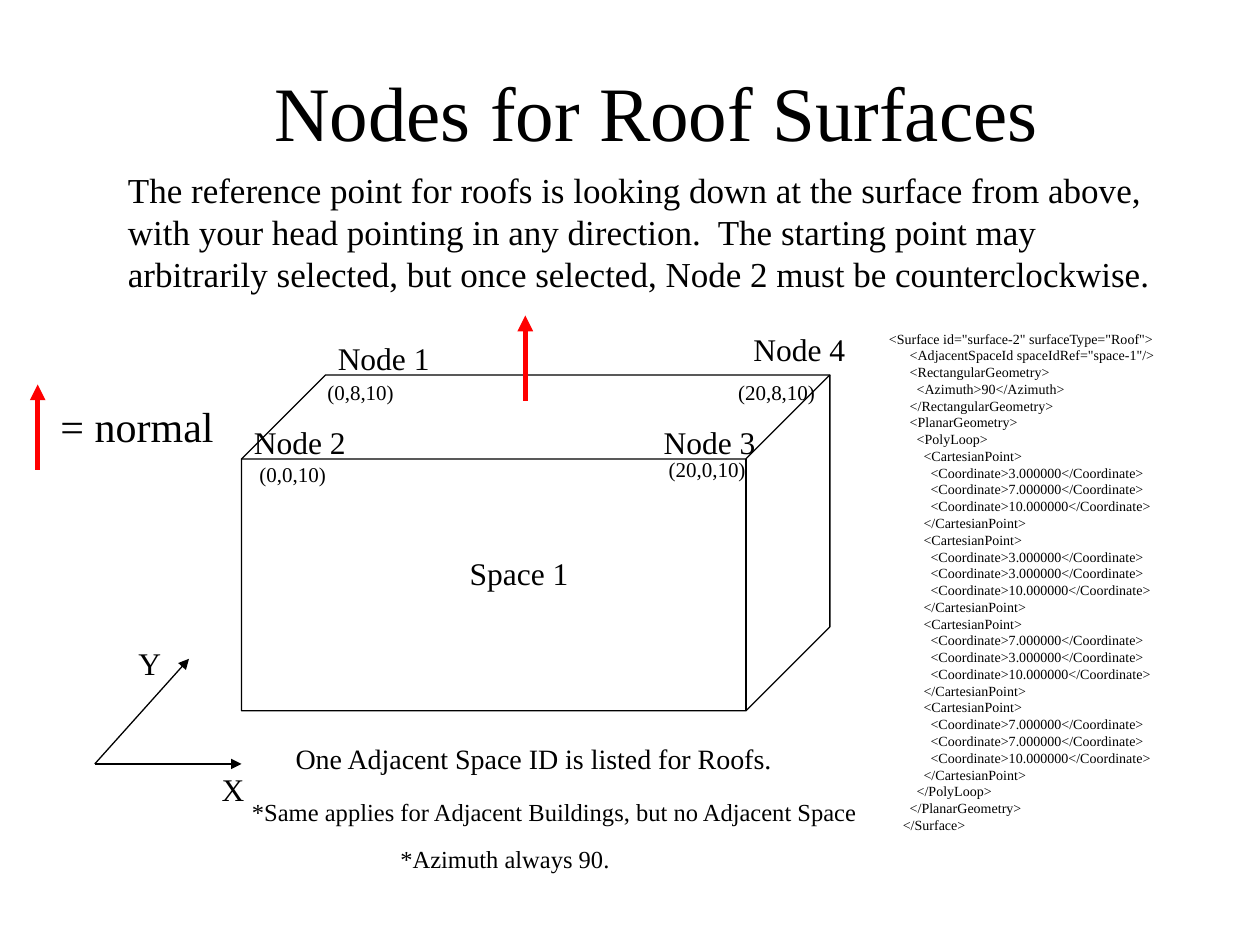
from lxml.etree import SubElement
from pptx import Presentation
from pptx.dml.color import RGBColor
from pptx.enum.shapes import MSO_CONNECTOR, MSO_SHAPE
from pptx.enum.text import MSO_ANCHOR, MSO_AUTO_SIZE, PP_ALIGN
from pptx.oxml.ns import qn
from pptx.util import Cm, Pt

THEME = {
    "font": "Times New Roman",
    "ink": RGBColor(0x00, 0x00, 0x00),
    "normal": RGBColor(0xFF, 0x00, 0x00),
    "title": 44, "legend": 24, "intro": 20, "label": 18,
    "note": 16, "footnote": 14, "coordinate": 12, "code": 8,
    "thin": 0.75, "thick": 3,
}

# Content: wording, left, top, width, height (cm)
TITLE = ("Nodes for Roof Surfaces", 1.9, 0.64, 22.66, 3.18)
INTRO = (
    "The reference point for roofs is looking down at the surface from above, "
    "with your head pointing in any direction.  The starting point may "
    "arbitrarily selected, but once selected, Node 2 must be counterclockwise.",
    2.33, 3.6, 21.38, 2.12)
NOTE = ("One Adjacent Space ID is listed for Roofs.", 5.71, 14.82, 20.11, 0.94)

# Text size role, then wording, left, top, width, height (cm)
LABELS = [
    ("label", "X", 4.22, 15.4, 1.48, 1.02),
    ("label", "Y", 2.54, 12.86, 1.48, 1.02),
    ("label", "Node 1", 6.56, 6.7, 5.29, 1.02),
    ("label", "Node 2", 4.87, 8.41, 5.29, 1.02),
    ("label", "Node 3", 13.13, 8.41, 5.29, 1.02),
    ("label", "Node 4", 14.94, 6.53, 5.29, 1.02),
    ("label", "Space 1", 9.22, 11.05, 3.18, 1.02),
    ("coordinate", "(0,8,10)", 6.35, 7.52, 3.18, 0.76),
    ("coordinate", "(0,0,10)", 4.98, 9.17, 3.18, 0.76),
    ("coordinate", "(20,0,10)", 13.23, 9.07, 3.18, 0.76),
    ("coordinate", "(20,8,10)", 14.63, 7.52, 3.18, 0.76),
    ("legend", "= normal", 0.97, 7.95, 4.02, 1.27),
    ("footnote", "*Same applies for Adjacent Buildings, but no Adjacent Space",
     4.83, 15.95, 13.55, 0.86),
    ("footnote", "*Azimuth always 90.", 7.82, 16.89, 13.55, 0.86),
]

BUILDING = (4.87, 7.56, 11.86, 6.77)
AXIS_ORIGIN = (1.91, 15.4)
AXIS_TIPS = [(3.81, 13.28), (4.87, 15.4)]
NORMAL_TIPS = [(0.76, 7.75), (10.59, 6.36)]
NORMAL_LENGTH = 1.72

# Code listing: indent level and wording
CODE_AREA = (17.67, 6.53, 6.78, 10.39)
CODE_INDENT = 0.14
POINTS = [(3, 7, 10), (3, 3, 10), (7, 3, 10), (7, 7, 10)]
CODE_HEAD = [
    (0, '<Surface id="surface-2" surfaceType="Roof">'),
    (3, '<AdjacentSpaceId spaceIdRef="space-1"/>'),
    (3, "<RectangularGeometry>"),
    (4, "<Azimuth>90</Azimuth>"),
    (3, "</RectangularGeometry>"),
    (3, "<PlanarGeometry>"),
    (4, "<PolyLoop>"),
]
CODE_TAIL = [(4, "</PolyLoop>"), (3, "</PlanarGeometry>"), (2, "</Surface>")]


def code_lines():
    lines = list(CODE_HEAD)
    for point in POINTS:
        lines.append((5, "<CartesianPoint>"))
        lines += [(6, f"<Coordinate>{value:.6f}</Coordinate>") for value in point]
        lines.append((5, "</CartesianPoint>"))
    return lines + CODE_TAIL


def add_text(page, role, text, left, top, width, height,
             anchor=MSO_ANCHOR.TOP, align=PP_ALIGN.LEFT, grow=True):
    box = page.shapes.add_textbox(Cm(left), Cm(top), Cm(width), Cm(height))
    frame = box.text_frame
    frame.word_wrap = True
    frame.auto_size = MSO_AUTO_SIZE.SHAPE_TO_FIT_TEXT if grow else MSO_AUTO_SIZE.NONE
    frame.vertical_anchor = anchor
    frame.text = text
    for para in frame.paragraphs:
        para.alignment = align
        for span in para.runs:
            span.font.name = THEME["font"]
            span.font.size = Pt(THEME[role])
            span.font.color.rgb = THEME["ink"]
    return box


def add_arrow(page, start, tip, color, weight):
    arrow = page.shapes.add_connector(
        MSO_CONNECTOR.STRAIGHT, *(Cm(value) for value in (*start, *tip)))
    arrow.line.color.rgb = THEME[color]
    arrow.line.width = Pt(THEME[weight])
    SubElement(arrow.line._get_or_add_ln(), qn("a:tailEnd"), type="triangle")
    SubElement(arrow._element.spPr, qn("a:effectLst"))


def add_building(page):
    cube = page.shapes.add_shape(MSO_SHAPE.CUBE, *(Cm(value) for value in BUILDING))
    cube.adjustments[0] = 0.25
    cube.shadow.inherit = False
    cube.fill.background()
    cube.line.color.rgb = THEME["ink"]
    cube.line.width = Pt(THEME["thin"])


def add_code(page):
    lines = code_lines()
    box = add_text(page, "code", "\n".join(text for _, text in lines), *CODE_AREA)
    for para, (level, _) in zip(box.text_frame.paragraphs, lines):
        properties = para._p.get_or_add_pPr()
        properties.set("marL", str(Cm(level * CODE_INDENT)))
        properties.set("indent", "0")


def main():
    deck = Presentation()
    deck.slide_width, deck.slide_height = Cm(25.4), Cm(19.05)
    page = deck.slides.add_slide(deck.slide_layouts[6])

    # Heading and introduction
    add_text(page, "title", *TITLE, anchor=MSO_ANCHOR.MIDDLE,
             align=PP_ALIGN.CENTER, grow=False)
    add_text(page, "intro", *INTRO, anchor=MSO_ANCHOR.MIDDLE, grow=False)

    # Building, axes and surface normals
    add_building(page)
    for tip in AXIS_TIPS:
        add_arrow(page, AXIS_ORIGIN, tip, "ink", "thin")
    for x, y in NORMAL_TIPS:
        add_arrow(page, (x, y + NORMAL_LENGTH), (x, y), "normal", "thick")

    # Labels, notes and code listing
    for label in LABELS:
        add_text(page, *label)
    add_text(page, "note", *NOTE, anchor=MSO_ANCHOR.MIDDLE)
    add_code(page)

    deck.save("out.pptx")


if __name__ == "__main__":
    main()
